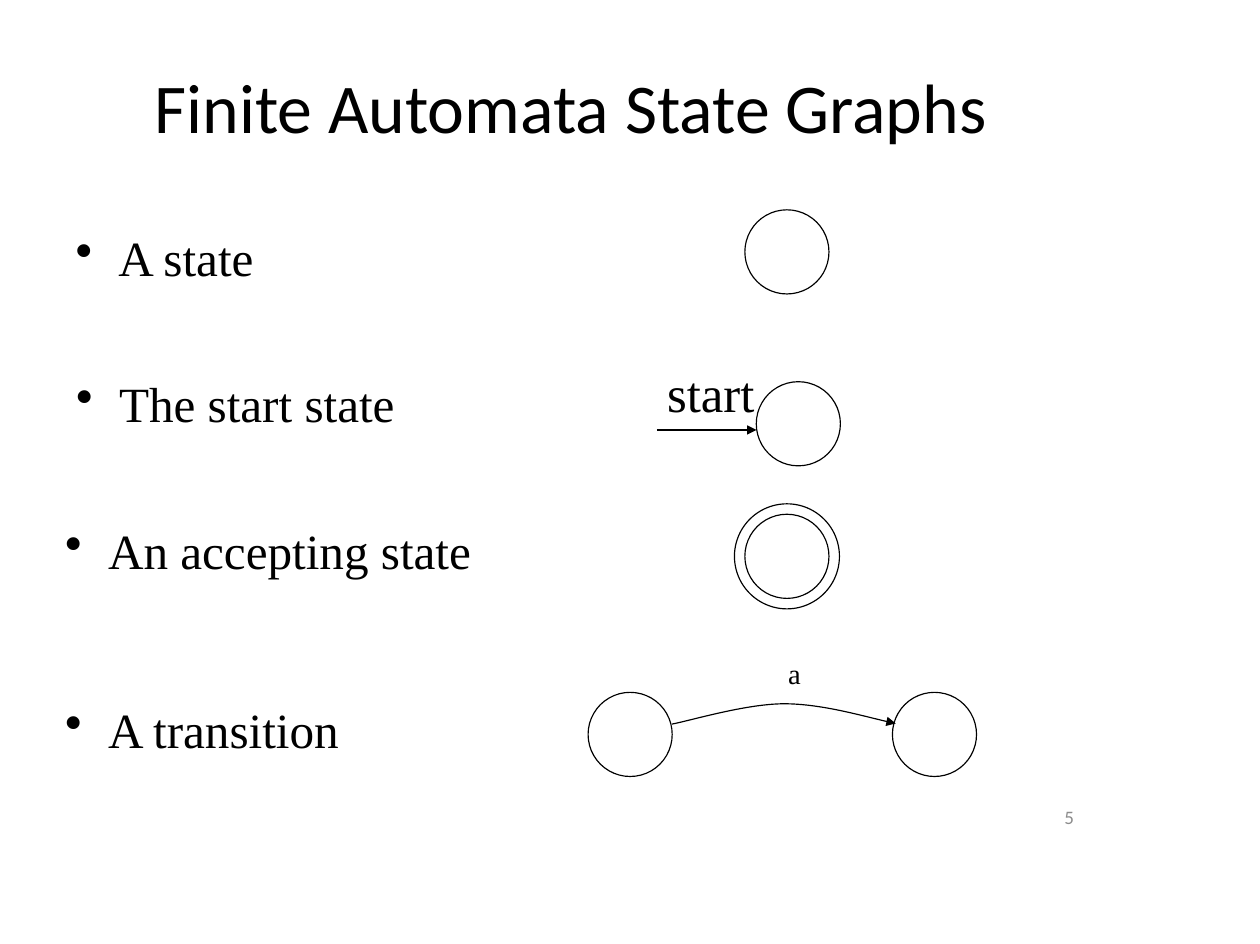
from pptx import Presentation
from pptx.dml.color import RGBColor
from pptx.enum.shapes import MSO_CONNECTOR as Connector, MSO_SHAPE as Preset
from pptx.enum.text import MSO_ANCHOR as Anchor, PP_ALIGN as Align
from pptx.oxml.ns import qn
from pptx.oxml.xmlchemy import OxmlElement
from pptx.util import Pt

COLORS = {"ink": "000000", "number": "8C8C8C"}
SERIF, SANS = "Times New Roman", "Calibri"
SLIDE_SIZE = (794.16, 594.72)
LINE_WIDTH = 0.75
BULLET_INDENT = 27

TITLE = ("Finite Automata State Graphs", (36, 21.6, 648, 90))
SLIDE_NUMBER = ("5", (516.24, 500.4, 167.76, 28.8))
BULLETS = [
    ("A state", 39.6, 139),
    ("The start state", 40, 231.1),
    ("An accepting state", 33.1, 324),
    ("A transition", 33.1, 436.3),
]
BULLET_SIZE = (721.4, 46)
START_LABEL = ("start", (420.5, 246.2, 55.4, 23.8))
SYMBOL_LABEL = ("a", (489.6, 409.7, 22.3, 28.8))

STATE, RING = 53, 66.2
CIRCLES = [
    (496, 158.7, STATE),
    (503.2, 267, STATE),
    (496, 350.5, STATE),
    (496, 350.5, RING),
    (397.2, 462.7, STATE),
    (589, 462.7, STATE),
]
START_ARROW = (414, 270.9, 476.8, 270.9)
TRANSITION_START = (423.5, 456.2)
TRANSITION_CURVE = [
    (435.2, 454, 470.3, 443.4, 494.3, 443.4),
    (517.7, 443.4, 550, 452.9, 564.6, 455.8),
]


def points(values):
    return [Pt(value) for value in values]


def add_text(slide, text, box, size, font=SERIF, color="ink", align=Align.LEFT,
             anchor=Anchor.TOP, margins=(7.2, 3.6, 7.2, 3.6), wrap=True,
             bullet=False, line_spacing=None):
    frame = slide.shapes.add_textbox(*points(box)).text_frame
    left, top, right, bottom = points(margins)
    frame_format = {
        "word_wrap": wrap, "vertical_anchor": anchor, "margin_left": left,
        "margin_top": top, "margin_right": right, "margin_bottom": bottom,
    }
    for name, value in frame_format.items():
        setattr(frame, name, value)
    paragraph = frame.paragraphs[0]
    paragraph.alignment = align
    if line_spacing:
        paragraph.line_spacing = Pt(line_spacing)
    if bullet:
        properties = paragraph._p.get_or_add_pPr()
        properties.set("marL", str(Pt(BULLET_INDENT)))
        properties.set("indent", str(-Pt(BULLET_INDENT)))
        mark = OxmlElement("a:buChar")
        mark.set("char", "•")
        properties.append(mark)
    run = paragraph.add_run()
    run.text = text
    for name, value in {"name": font, "size": Pt(size)}.items():
        setattr(run.font, name, value)
    run.font.color.rgb = RGBColor.from_string(COLORS[color])


def style_line(shape, arrow=False):
    shape.line.color.rgb = RGBColor.from_string(COLORS["ink"])
    shape.line.width = Pt(LINE_WIDTH)
    if arrow:
        head = OxmlElement("a:tailEnd")
        head.set("type", "triangle")
        shape.line._get_or_add_ln().append(head)


def add_circle(slide, center_x, center_y, diameter):
    box = (center_x - diameter / 2, center_y - diameter / 2, diameter, diameter)
    circle = slide.shapes.add_shape(Preset.OVAL, *points(box))
    circle.shadow.inherit = False
    circle.fill.background()
    style_line(circle)


def add_start_arrow(slide):
    arrow = slide.shapes.add_connector(Connector.STRAIGHT, *points(START_ARROW))
    style_line(arrow, arrow=True)
    arrow._element.spPr.append(OxmlElement("a:effectLst"))


def add_transition(slide):
    vertices = [tuple(points(curve[i:i + 2])) for curve in TRANSITION_CURVE for i in (0, 2, 4)]
    builder = slide.shapes.build_freeform(*points(TRANSITION_START))
    builder.add_line_segments(vertices, close=False)
    transition = builder.convert_to_shape()
    outline = next(transition._element.iter(qn("a:path")))
    segments = outline.findall(qn("a:lnTo"))
    for first in range(0, len(segments), 3):
        curve = OxmlElement("a:cubicBezTo")
        for segment in segments[first:first + 3]:
            curve.append(segment[0])
            outline.remove(segment)
        outline.append(curve)
    transition.shadow.inherit = False
    transition.fill.background()
    style_line(transition, arrow=True)


def main():
    presentation = Presentation()
    presentation.slide_width, presentation.slide_height = points(SLIDE_SIZE)
    slide = presentation.slides.add_slide(presentation.slide_layouts[6])
    add_text(slide, *TITLE, 44, font=SANS, align=Align.CENTER, anchor=Anchor.MIDDLE)
    for text, left, top in BULLETS:
        add_text(slide, text, (left, top, *BULLET_SIZE), 31,
                 margins=(8, 4, 8, 4), bullet=True)
    for circle in CIRCLES:
        add_circle(slide, *circle)
    add_start_arrow(slide)
    add_transition(slide)
    add_text(slide, *SYMBOL_LABEL, 18, wrap=False)
    add_text(slide, *START_LABEL, 32, margins=(0, 0, 0, 3.6), wrap=False, line_spacing=20)
    add_text(slide, *SLIDE_NUMBER, 12, font=SANS, color="number",
             align=Align.RIGHT, anchor=Anchor.MIDDLE)
    presentation.save("out.pptx")


if __name__ == "__main__":
    main()
